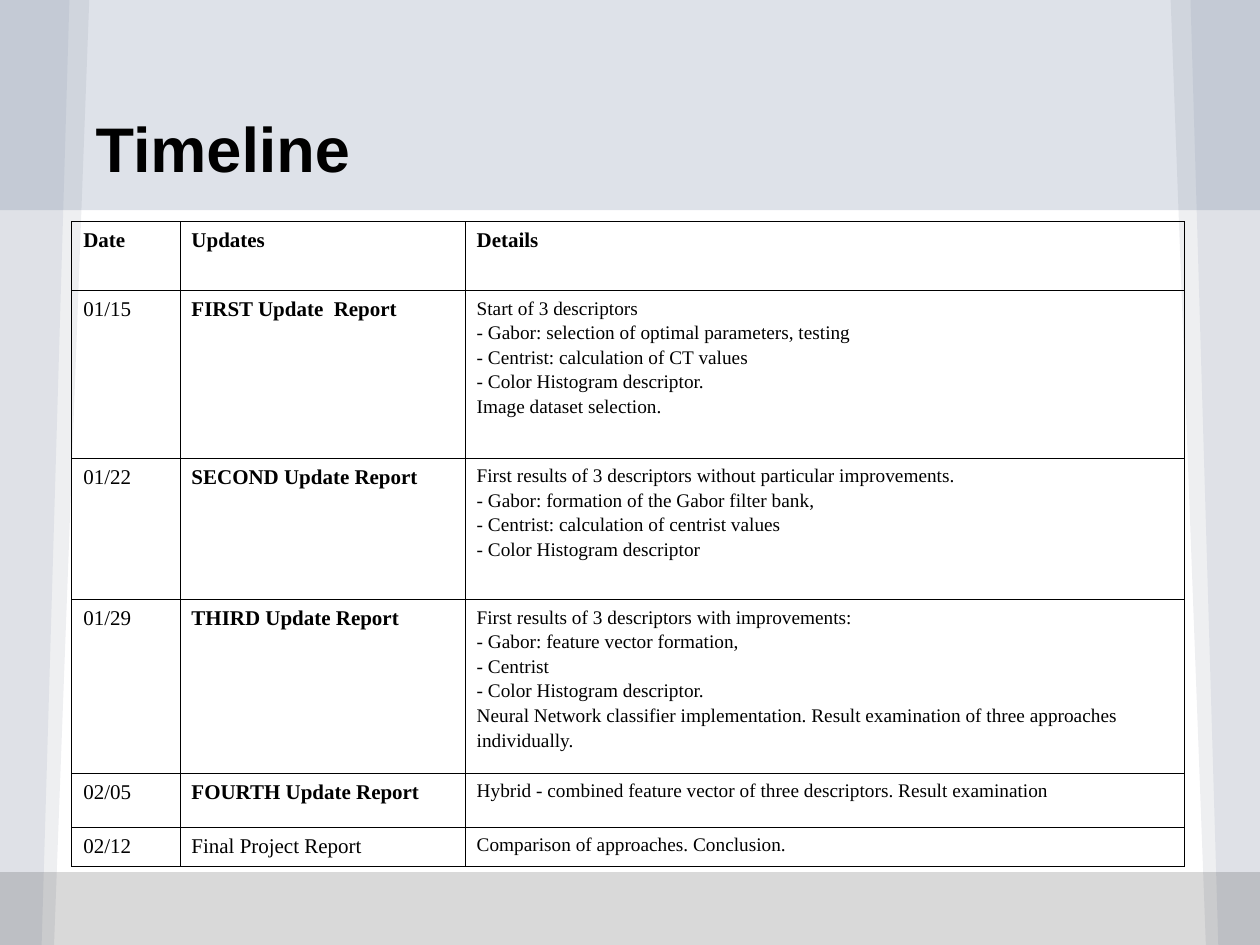
from pptx import Presentation
from pptx.dml.color import RGBColor
from pptx.enum.shapes import MSO_SHAPE
from pptx.enum.text import MSO_ANCHOR, MSO_AUTO_SIZE, PP_ALIGN
from pptx.oxml.ns import qn
from pptx.util import Cm, Pt
from lxml import etree

RECTANGLE = MSO_SHAPE.RECTANGLE
BOTTOM = MSO_ANCHOR.BOTTOM
LEFT = PP_ALIGN.LEFT
NO_AUTOFIT = MSO_AUTO_SIZE.NONE

# Content
TITLE = "Timeline"
HEADER = ("Date", "Updates", ["Details"])
UPDATES = [
    ("01/15", "FIRST Update  Report", [
        "Start of 3 descriptors",
        "- Gabor: selection of optimal parameters, testing",
        "- Centrist: calculation of CT values",
        "- Color Histogram descriptor.",
        "Image dataset selection."]),
    ("01/22", "SECOND Update Report", [
        "First results of 3 descriptors without particular improvements.",
        "- Gabor: formation of the Gabor filter bank,",
        "- Centrist: calculation of centrist values",
        "- Color Histogram descriptor"]),
    ("01/29", "THIRD Update Report", [
        "First results of 3 descriptors with improvements:",
        "- Gabor: feature vector formation,",
        "- Centrist",
        "- Color Histogram descriptor.",
        "Neural Network classifier implementation. "
        "Result examination of three approaches individually."]),
    ("02/05", "FOURTH Update Report", [
        "Hybrid - combined feature vector of three descriptors. Result examination"]),
    ("02/12", "Final Project Report", ["Comparison of approaches. Conclusion."]),
]

# Layout in centimetres
WIDTH, HEIGHT = 25.4, 19.05
BANDS = [(0, 4.24, "5C6E95", 20), (17.58, 1.47, "000000", 15)]  # top, height, colour, opacity
SIDES = [(1.8, 1.09, "5A6378"), (1.4, 0.84, "5C6E95")]  # width at top, at bottom, colour
COLUMN_WIDTHS = [2.18, 5.75, 14.5]
ROW_HEIGHTS = [1.39, 3.38, 2.85, 3.5, 1.09, 0.79]


def color(value):
    return RGBColor.from_string(value)


def paint(shape, value, opacity):
    shape.shadow.inherit = False
    shape.line.fill.background()
    shape.fill.solid()
    shape.fill.fore_color.rgb = color(value)
    fill_color = shape.fill._xPr.find(qn("a:solidFill"))[0]
    etree.SubElement(fill_color, qn("a:alpha"), val=str(opacity * 1000))


def style_font(font, name, size, bold):
    font.name, font.size, font.bold = name, Pt(size), bold
    font.color.rgb = color("000000")


def add_borders(cell):
    properties = cell._tc.get_or_add_tcPr()
    for index, side in enumerate(("lnL", "lnR", "lnT", "lnB")):
        line = etree.Element(qn(f"a:{side}"), w=str(Pt(0.75)))
        fill = etree.SubElement(line, qn("a:solidFill"))
        etree.SubElement(fill, qn("a:srgbClr"), val="000000")
        properties.insert(index, line)


def fill_cell(cell, lines, size, bold):
    cell.fill.background()
    add_borders(cell)
    cell.margin_left = cell.margin_right = Cm(0.08)
    cell.margin_top = cell.margin_bottom = Cm(0.08)
    cell.text_frame.text = "\n".join(lines)
    for paragraph in cell.text_frame.paragraphs:
        paragraph._p.get_or_add_pPr().set("marL", str(Cm(0.15)))
        paragraph.line_spacing = 1.15
        style_font(paragraph.runs[0].font, "Times New Roman", size, bold)


presentation = Presentation()
presentation.slide_width, presentation.slide_height = Cm(WIDTH), Cm(HEIGHT)
slide = presentation.slides.add_slide(presentation.slide_layouts[5])
shapes = slide.shapes
title = shapes.title

# Background: top band, tapered sides, bottom band
for index, (top, height, value, opacity) in enumerate(BANDS):
    band = shapes.add_shape(RECTANGLE, 0, Cm(top), Cm(WIDTH), Cm(height))
    paint(band, value, opacity)
    if index == 0:
        for edge, direction in ((0, 1), (WIDTH, -1)):
            for top_width, bottom_width, side_value in SIDES:
                builder = shapes.build_freeform(Cm(edge), 0)
                builder.add_line_segments([
                    (Cm(edge + direction * top_width), 0),
                    (Cm(edge + direction * bottom_width), Cm(HEIGHT)),
                    (Cm(edge), Cm(HEIGHT))], close=True)
                paint(builder.convert_to_shape(), side_value, 10)

# Title, brought in front of the background
shapes._spTree.append(title._element)
title.left, title.top, title.width, title.height = Cm(1.04), Cm(1.93), Cm(22.86), Cm(2.06)
frame = title.text_frame
frame.text = TITLE
frame.auto_size = NO_AUTOFIT
frame.vertical_anchor = BOTTOM
frame.margin_left = frame.margin_right = frame.margin_top = frame.margin_bottom = Cm(0.25)
paragraph = frame.paragraphs[0]
paragraph.alignment = LEFT
paragraph._p.get_or_add_pPr().set("indent", str(Cm(0.64)))
style_font(paragraph.runs[0].font, "Arial", 36, True)

# Timeline table
table = shapes.add_table(len(ROW_HEIGHTS), len(COLUMN_WIDTHS), Cm(1.45), Cm(4.47),
                         Cm(sum(COLUMN_WIDTHS)), Cm(sum(ROW_HEIGHTS))).table
table.first_row = table.horz_banding = False
for column, width in zip(table.columns, COLUMN_WIDTHS):
    column.width = Cm(width)
for row, height in zip(table.rows, ROW_HEIGHTS):
    row.height = Cm(height)

for row_index, (date, update, details) in enumerate([HEADER] + UPDATES):
    is_header = row_index == 0
    is_final = row_index == len(UPDATES)
    fill_cell(table.cell(row_index, 0), [date], 12, is_header)
    fill_cell(table.cell(row_index, 1), [update], 12, not is_final)
    fill_cell(table.cell(row_index, 2), details, 12 if is_header else 11, is_header)

presentation.save("out.pptx")
